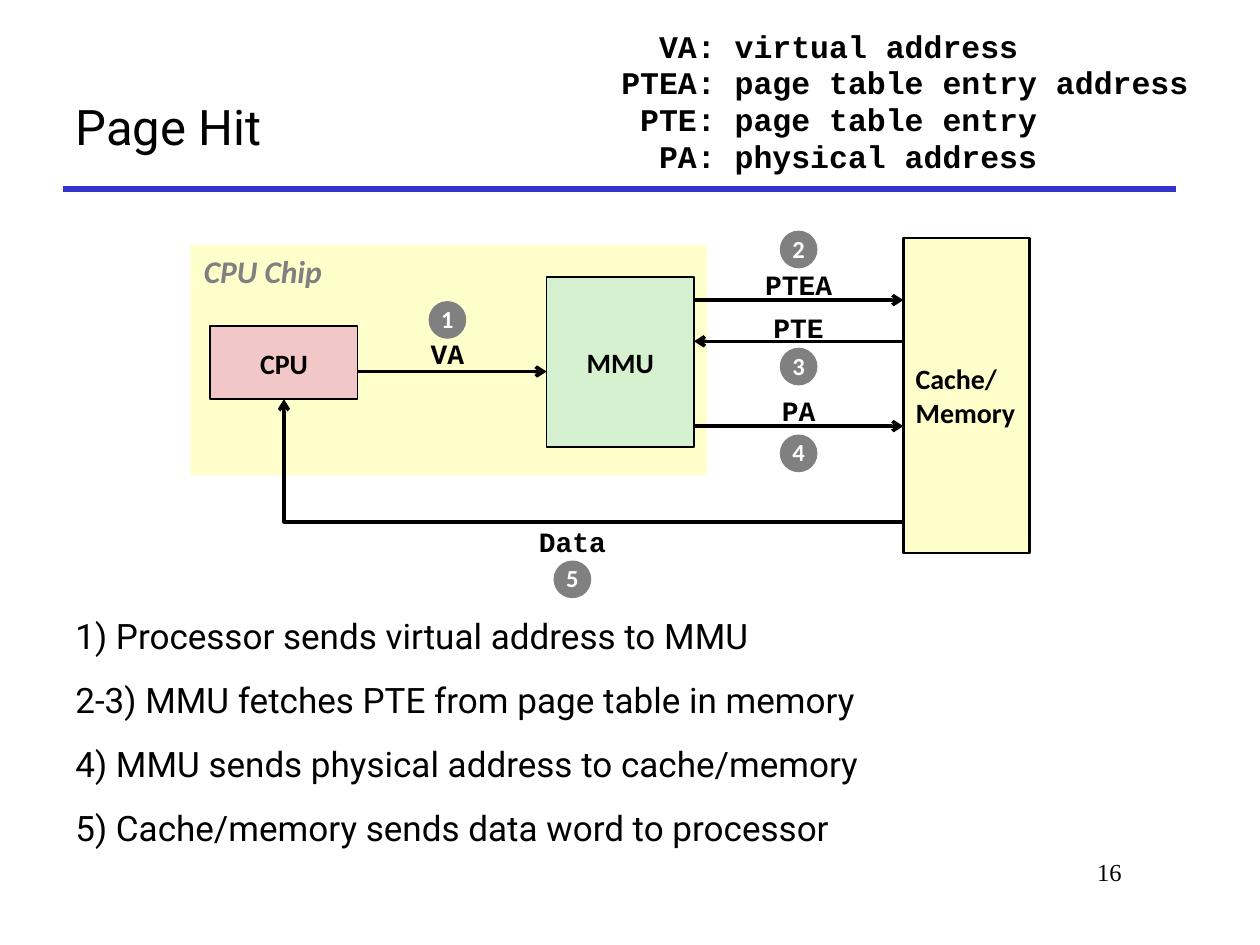
from lxml import etree
from pptx import Presentation
from pptx.dml.color import RGBColor
from pptx.enum import shapes, text
from pptx.oxml import ns
from pptx.util import Cm, Pt

TITLE = "Page Hit"
PAGE_NUMBER = "16"
LEGEND = [
    ("VA", "virtual address"),
    ("PTEA", "page table entry address"),
    ("PTE", "page table entry"),
    ("PA", "physical address"),
]
STEPS = [
    "1) Processor sends virtual address to MMU",
    "2-3) MMU fetches PTE from page table in memory",
    "4) MMU sends physical address to cache/memory",
    "5) Cache/memory sends data word to processor",
]

# All positions are in centimetres: left, top, width, height.
CHIP = (3.84, 4.93, 10.41, 4.65)
CPU = (4.24, 6.58, 2.97, 1.47)
MMU = (11.02, 5.59, 2.97, 3.43)
MEMORY = (18.21, 4.8, 2.54, 6.35)
BLOCKS = [  # lines, box, fill, outline width, alignment
    ([], CHIP, "FFFFCC", 0, "CENTER"),
    (["MMU"], MMU, "D5F1CF", 1, "CENTER"),
    (["Cache/", "Memory"], MEMORY, "FFFFCC", 1.5, "LEFT"),
    (["CPU"], CPU, "F1C7C7", 1, "CENTER"),
]
CPU_RIGHT, MMU_LEFT = CPU[0] + CPU[2], MMU[0]
MMU_RIGHT, MEMORY_LEFT = MMU[0] + MMU[2], MEMORY[0]
CPU_MIDDLE, CPU_BOTTOM = CPU[0] + CPU[2] / 2, CPU[1] + CPU[3]
ARROWS = [
    (CPU_RIGHT, 7.49, MMU_LEFT, 7.49),
    (MMU_RIGHT, 6.05, MEMORY_LEFT, 6.05),
    (MEMORY_LEFT, 6.88, MMU_RIGHT, 6.88),
    (MMU_RIGHT, 8.59, MEMORY_LEFT, 8.59),
    (MEMORY_LEFT, 10.52, CPU_MIDDLE, CPU_BOTTOM),
]
SIGNALS = [  # label, centre x, label centre y, badge centre y
    ("VA", 9.02, 7.15, 6.45),
    ("PTEA", 16.1, 5.75, 5.03),
    ("PTE", 16.1, 6.62, 7.39),
    ("PA", 16.1, 8.29, 9.14),
    ("Data", 11.54, 10.93, 11.68),
]
BADGE = 0.76
LABEL_HEIGHT = 0.94

BLOCK_FONT = dict(name="Calibri", size=Pt(16), bold=True)
CHIP_FONT = dict(name="Calibri", size=Pt(18), bold=True, italic=True)
BADGE_FONT = dict(name="Calibri", size=Pt(14), bold=True)
SIGNAL_FONT = dict(name="Courier New", size=Pt(16), bold=True)
LEGEND_FONT = dict(name="Courier New", size=Pt(18), bold=True)
TITLE_FONT = dict(name="Roboto", size=Pt(28))
STEP_FONT = dict(name="Roboto", size=Pt(20))
NUMBER_FONT = dict(name="Times New Roman", size=Pt(14))


def rgb(value):
    return RGBColor.from_string(value)


def place(shape, box):
    shape.left, shape.top, shape.width, shape.height = map(Cm, box)


def add_tabs(paragraph, stops):
    tab_list = etree.SubElement(paragraph._p.get_or_add_pPr(), ns.qn("a:tabLst"))
    for position, alignment in stops:
        etree.SubElement(tab_list, ns.qn("a:tab"), pos=str(Cm(position)), algn=alignment)


def write(shape, lines, font, color="000000", align="LEFT", anchor="TOP",
          wrap=True, spacing=None, gap=0, tabs=()):
    """Fill a shape with one formatted paragraph per line."""
    frame = shape.text_frame
    frame.word_wrap = wrap
    frame.vertical_anchor = text.MSO_ANCHOR[anchor]
    for index, line in enumerate(lines):
        paragraph = frame.add_paragraph() if index else frame.paragraphs[0]
        paragraph.text = line
        paragraph.alignment = text.PP_ALIGN[align]
        paragraph.line_spacing = spacing
        paragraph.space_before = Pt(gap if index else 0)
        if tabs:
            add_tabs(paragraph, tabs)
        for run in paragraph.runs:
            for name, value in font.items():
                setattr(run.font, name, value)
            run.font.color.rgb = rgb(color)


def add_text(slide, box, lines, font, **options):
    shape = slide.shapes.add_textbox(*map(Cm, box))
    write(shape, lines, font, **options)
    return shape


def add_block(slide, kind, box, fill, outline=0):
    shape = slide.shapes.add_shape(shapes.MSO_SHAPE[kind], *map(Cm, box))
    shape.shadow.inherit = False
    shape.fill.solid()
    shape.fill.fore_color.rgb = rgb(fill)
    if outline:
        shape.line.color.rgb = rgb("000000")
        shape.line.width = Pt(outline)
    else:
        shape.line.fill.background()
    return shape


def add_line(slide, ends, color, width, arrow=False):
    """Draw a straight line, or a single right-angle bend when the ends differ in x and y."""
    x1, y1, x2, y2 = ends
    bent = x1 != x2 and y1 != y2
    kind = shapes.MSO_CONNECTOR.ELBOW if bent else shapes.MSO_CONNECTOR.STRAIGHT
    line = slide.shapes.add_connector(kind, *map(Cm, ends))
    line.line.color.rgb = rgb(color)
    line.line.width = Pt(width)
    properties = line._element.spPr
    if bent:
        properties.find(ns.qn("a:prstGeom")).set("prst", "bentConnector2")
    if arrow:
        etree.SubElement(line.line._get_or_add_ln(), ns.qn("a:tailEnd"), type="arrow")
    etree.SubElement(properties, ns.qn("a:effectLst"))


def main():
    presentation = Presentation()
    presentation.slide_width, presentation.slide_height = Cm(25.4), Cm(19.05)
    slide = presentation.slides.add_slide(presentation.slide_layouts[5])

    title = slide.shapes.title
    place(title, (1.27, 1.27, 22.43, 2.54))
    write(title, [TITLE], TITLE_FONT, anchor="MIDDLE")
    add_line(slide, (1.27, 3.81, 23.7, 3.81), "3333CC", 3)
    add_text(slide, (19.25, 17.15, 3.61, 1.27), [PAGE_NUMBER], NUMBER_FONT, align="RIGHT")

    legend = add_text(slide, (12.27, 0.58, 12.67, 2.95),
                      [f"\t{short}:\t{meaning}" for short, meaning in LEGEND],
                      LEGEND_FONT, spacing=0.97, tabs=[(1.91, "r"), (2.29, "l")])
    legend.text_frame.margin_top = 0

    for lines, box, fill, outline, align in BLOCKS:
        block = add_block(slide, "RECTANGLE", box, fill, outline)
        write(block, lines, BLOCK_FONT, align=align, anchor="MIDDLE", wrap=False)
    add_text(slide, (3.86, 4.95, 2.95, 1.02), ["CPU Chip"], CHIP_FONT,
             color="808080", wrap=False)

    for ends in ARROWS:
        add_line(slide, ends, "000000", 2, arrow=True)
    for number, (label, x, label_y, badge_y) in enumerate(SIGNALS, start=1):
        width = 0.51 + 0.34 * len(label)
        add_text(slide, (x - width / 2, label_y - LABEL_HEIGHT / 2, width, LABEL_HEIGHT),
                 [label], SIGNAL_FONT, align="CENTER", anchor="MIDDLE", wrap=False,
                 spacing=0.98)
        badge = add_block(slide, "OVAL", (x - BADGE / 2, badge_y - BADGE / 2, BADGE, BADGE),
                          "808080")
        write(badge, [str(number)], BADGE_FONT, color="FFFFFF", align="CENTER",
              anchor="MIDDLE", wrap=False, spacing=0.98)

    add_text(slide, (1.27, 12.27, 18.85, 5.72), STEPS, STEP_FONT, gap=12.5)
    presentation.save("out.pptx")


if __name__ == "__main__":
    main()
